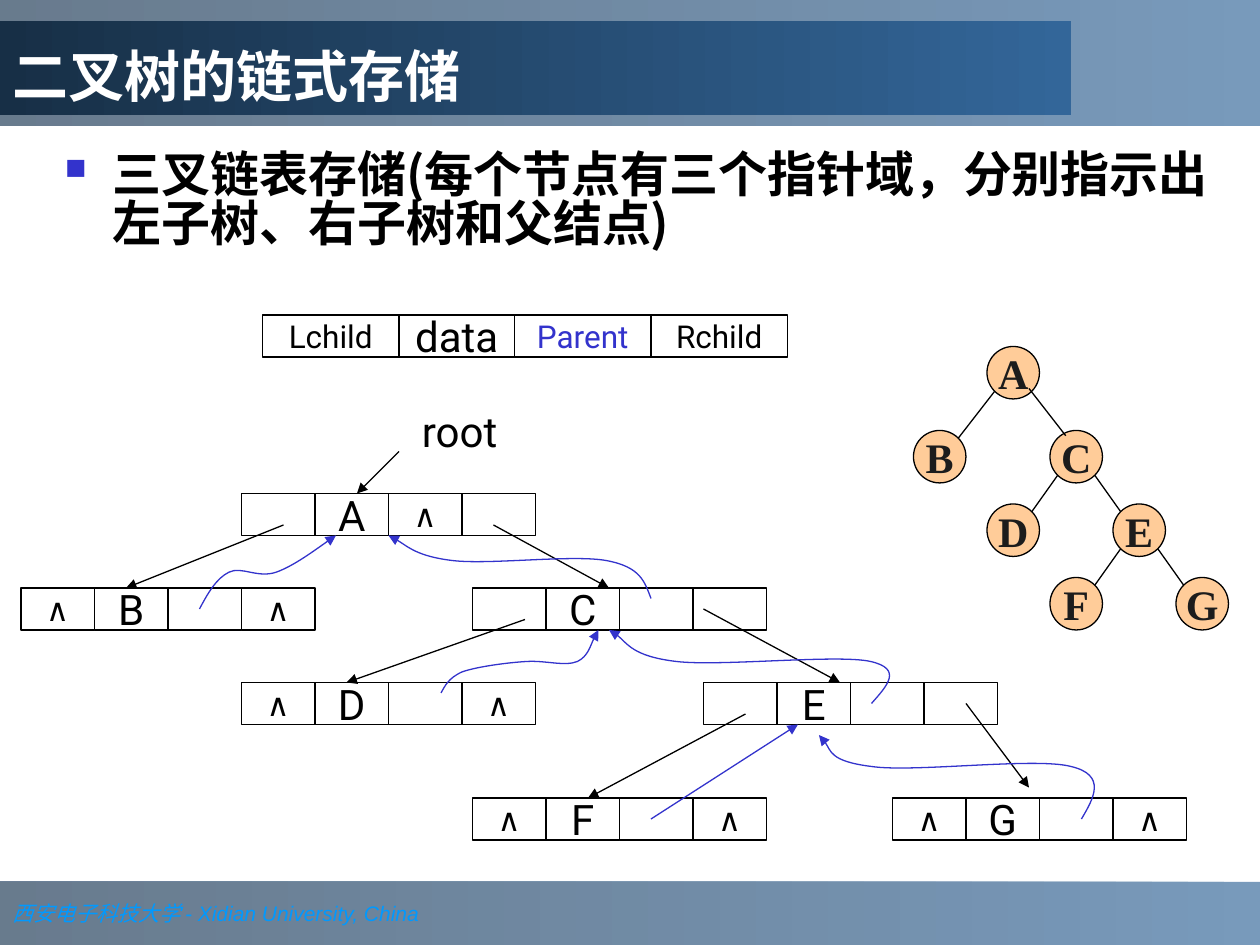
from dataclasses import dataclass

from lxml import etree
from pptx import Presentation
from pptx.dml.color import RGBColor
from pptx.enum.shapes import MSO_CONNECTOR, MSO_SHAPE
from pptx.enum.text import MSO_ANCHOR, PP_ALIGN
from pptx.oxml.ns import qn
from pptx.util import Inches, Pt

RECTANGLE, OVAL = MSO_SHAPE.RECTANGLE, MSO_SHAPE.OVAL
STRAIGHT = MSO_CONNECTOR.STRAIGHT
MIDDLE, BOTTOM, TOP = MSO_ANCHOR.MIDDLE, MSO_ANCHOR.BOTTOM, MSO_ANCHOR.TOP
LEFT, CENTER = PP_ALIGN.LEFT, PP_ALIGN.CENTER

GRID = 12  # grid steps per inch: the slide has 120 columns and 90 rows
COLUMNS, ROWS = 120, 90
CELL_WIDTH, CELL_HEIGHT, CIRCLE = 7, 4, 5
BLACK, BLUE, NIL = "000000", "3333CC", "∧"
CJK_FONT = "Noto Sans CJK SC"

Point = tuple[float, float]


@dataclass
class Style:
    size: int
    font: str = "Roboto"
    color: str = BLACK
    bold: bool = False
    italic: bool = False


@dataclass
class Record:
    """A linked node: four cells, left child, data, parent and right child."""
    column: int
    row: int
    texts: tuple[str, str, str, str]


@dataclass
class Arrow:
    start: Point
    end: Point
    color: str = BLACK


SMALL, LARGE = Style(18), Style(24)
TREE_STYLE = Style(24, "Times New Roman", "1C1C1C", bold=True)

FIELDS = [(13, "Lchild", SMALL), (11, "data", LARGE),
          (13, "Parent", Style(18, color=BLUE)), (13, "Rchild", SMALL)]

RECORDS = [
    Record(23, 47, ("", "A", NIL, "")),
    Record(2, 56, (NIL, "B", "", NIL)),
    Record(45, 56, ("", "C", "", "")),
    Record(23, 65, (NIL, "D", "", NIL)),
    Record(67, 65, ("", "E", "", "")),
    Record(45, 76, (NIL, "F", "", NIL)),
    Record(85, 76, (NIL, "G", "", NIL)),
]

ARROWS = [
    Arrow((38, 43), (34, 47)),
    Arrow((27, 50), (12, 56)), Arrow((47, 50), (58, 56)),
    Arrow((50, 59), (33, 65)), Arrow((67, 58), (80, 65)),
    Arrow((71, 68), (56, 76)), Arrow((92, 67), (98, 75)),
    Arrow((62, 78), (76, 69), BLUE),
]

# Each parent link is a start point followed by groups of three Bezier points.
PARENT_CURVES = [
    [(19, 58), (19.8, 56.5), (20.6, 55.1), (21.8, 54.5), (23, 53.9),
     (24.5, 55.1), (26.3, 54.5), (28, 53.9), (31.1, 51.6), (32, 51)],
    [(62, 57), (61.4, 55.4), (61, 54), (57.8, 53.4), (54.7, 52.8),
     (46.7, 53.8), (43.2, 53.4), (39.7, 53), (38, 51.4), (37, 51)],
    [(42, 66), (42.4, 65.3), (42.7, 64.6), (44, 64), (45.4, 63.5),
     (48.4, 63.1), (50.2, 63), (52, 62.9), (53.8, 63.5), (55, 63),
     (56, 62.5), (56.6, 60.5), (57, 60)],
    [(83, 67), (84.5, 65.3), (86, 63.7), (82.9, 63), (79.8, 62.3),
     (68.5, 63.5), (64.4, 63), (60.2, 62.5), (59.2, 60.5), (58, 60)],
    [(103, 78), (104.2, 76), (105.4, 73.8), (102, 73), (98.6, 72.1),
     (87, 73.6), (83, 73), (79, 72.5), (78.8, 70.6), (78, 70)],
]

TREE_NODES = {"A": (94, 33), "B": (87, 41), "C": (100, 41), "D": (94, 48),
              "E": (106, 48), "F": (100, 55), "G": (112, 55)}
TREE_EDGES = ["AB", "CD", "CE", "EF", "EG"]
ROOT_EDGE = Arrow((98, 37), (101.5, 41.5))


def grid(*steps: float) -> list[int]:
    return [Inches(step / GRID) for step in steps]


def rgb(color: str) -> RGBColor:
    return RGBColor.from_string(color)


def add_run(paragraph, text: str, style: Style) -> None:
    run = paragraph.add_run()
    run.text = text
    font = run.font
    font.size, font.bold, font.italic = Pt(style.size), style.bold, style.italic
    font.color.rgb = rgb(style.color)
    font.name = style.font
    east_asian = etree.SubElement(run._r.get_or_add_rPr(), qn("a:ea"))
    east_asian.set("typeface", CJK_FONT)


def prepare_text(shape, anchor, alignment, wrap: bool):
    """Set up the text frame and return its first paragraph."""
    frame = shape.text_frame
    frame.word_wrap, frame.vertical_anchor = wrap, anchor
    paragraph = frame.paragraphs[0]
    paragraph.alignment = alignment
    return paragraph


def set_line(line, color: str, arrow: bool) -> None:
    line.color.rgb = rgb(color)
    line.width = Pt(0.75)
    if arrow:
        etree.SubElement(line._get_or_add_ln(), qn("a:tailEnd")).set("type", "triangle")


def set_gradient(shape, dark: str, opacity: int = 100) -> None:
    shape.fill.gradient()
    shape.fill.gradient_angle = 180
    for stop, color in zip(shape.fill.gradient_stops, ("336699", dark)):
        stop.color.rgb = rgb(color)
    if opacity < 100:
        for color_element in shape.element.spPr.iter(qn("a:srgbClr")):
            etree.SubElement(color_element, qn("a:alpha")).set("val", str(opacity * 1000))


def add_band(slide, row: int, height: int):
    band = slide.shapes.add_shape(RECTANGLE, *grid(0, row, COLUMNS, height))
    band.shadow.inherit = False
    band.line.fill.background()
    set_gradient(band, "1B3753", 66)
    return band


def add_node(slide, kind, box: tuple, text: str, style: Style, fill: str = "") -> None:
    shape = slide.shapes.add_shape(kind, *grid(*box))
    shape.shadow.inherit = False
    if fill:
        shape.fill.solid()
        shape.fill.fore_color.rgb = rgb(fill)
    else:
        shape.fill.background()
    set_line(shape.line, BLACK, False)
    if text:
        add_run(prepare_text(shape, MIDDLE, CENTER, False), text, style)


def add_line(slide, link: Arrow, arrow: bool = True) -> None:
    connector = slide.shapes.add_connector(STRAIGHT, *grid(*link.start, *link.end))
    set_line(connector.line, link.color, arrow)
    etree.SubElement(connector.element.spPr, qn("a:effectLst"))


def add_curve(slide, points: list[Point]) -> None:
    start, *others = [grid(*point) for point in points]
    builder = slide.shapes.build_freeform(*start)
    builder.add_line_segments(others, close=False)
    curve = builder.convert_to_shape()
    curve.shadow.inherit = False
    curve.fill.background()
    set_line(curve.line, BLUE, True)
    outline = next(curve.element.iter(qn("a:path")))
    segments = outline.findall(qn("a:lnTo"))
    for first in range(0, len(segments), 3):
        bezier = etree.SubElement(outline, qn("a:cubicBezTo"))
        for segment in segments[first:first + 3]:
            bezier.append(segment[0])
            outline.remove(segment)


def add_title(slide) -> None:
    title = slide.shapes.title
    slide.shapes._spTree.append(title.element)  # in front of the bands
    title.left, title.top, title.width, title.height = grid(0, 2, 102, 9)
    set_gradient(title, "172F46")
    add_run(prepare_text(title, BOTTOM, LEFT, True), "二叉树的链式存储",
            Style(32, color="FFFFFF", bold=True))


def add_statement(slide) -> None:
    box = slide.shapes.add_textbox(*grid(5, 14, 112, 13))
    paragraph = prepare_text(box, TOP, LEFT, True)
    paragraph.line_spacing = 0.83
    properties = paragraph._p.get_or_add_pPr()
    properties.set("marL", str(Inches(0.38)))
    properties.set("indent", str(-Inches(0.38)))
    bullet_color = etree.SubElement(properties, qn("a:buClr"))
    etree.SubElement(bullet_color, qn("a:srgbClr")).set("val", BLUE)
    etree.SubElement(properties, qn("a:buSzPct")).set("val", "60000")
    etree.SubElement(properties, qn("a:buChar")).set("char", "■")
    add_run(paragraph, "三叉链表存储(每个节点有三个指针域，分别指示出左子树、右子树和父结点)",
            Style(28, CJK_FONT, bold=True))


def add_tree(slide) -> None:
    for name, corner in TREE_NODES.items():
        add_node(slide, OVAL, (*corner, CIRCLE, CIRCLE), name, TREE_STYLE, "FFCC99")
    middle, reach = CIRCLE / 2, CIRCLE / 2 * 0.71  # edges meet circles at 45 degrees
    for parent, child in TREE_EDGES:
        (x1, y1), (x2, y2) = TREE_NODES[parent], TREE_NODES[child]
        side = reach if x2 > x1 else -reach
        add_line(slide, Arrow((x1 + middle + side, y1 + middle + reach),
                              (x2 + middle - side, y2 + middle - reach)), arrow=False)
    add_line(slide, ROOT_EDGE, arrow=False)


def add_linked_records(slide) -> None:
    column = 25
    for width, text, style in FIELDS:
        add_node(slide, RECTANGLE, (column, 30, width, CELL_HEIGHT), text, style)
        column += width
    for record in RECORDS:
        for index, text in enumerate(record.texts):
            box = (record.column + index * CELL_WIDTH, record.row, CELL_WIDTH, CELL_HEIGHT)
            add_node(slide, RECTANGLE, box, text, SMALL if text == NIL else LARGE)
    for arrow in ARROWS:
        add_line(slide, arrow)
    for points in PARENT_CURVES:
        add_curve(slide, points)
    label = slide.shapes.add_textbox(*grid(39, 38, 14, 6))
    add_run(prepare_text(label, TOP, LEFT, True), "root", LARGE)


def main() -> None:
    presentation = Presentation()
    presentation.slide_width, presentation.slide_height = grid(COLUMNS, ROWS)
    slide = presentation.slides.add_slide(presentation.slide_layouts[5])
    footer = prepare_text(add_band(slide, 84, 6), MIDDLE, LEFT, False)
    add_run(footer, "西安电子科技大学 ", Style(12, "Times New Roman", "0099FF", italic=True))
    add_run(footer, "- Xidian University, China", Style(12, "Arial", "0099FF", italic=True))
    add_band(slide, 0, 12)
    add_title(slide)
    add_statement(slide)
    add_tree(slide)
    add_linked_records(slide)
    presentation.save("out.pptx")


if __name__ == "__main__":
    main()
